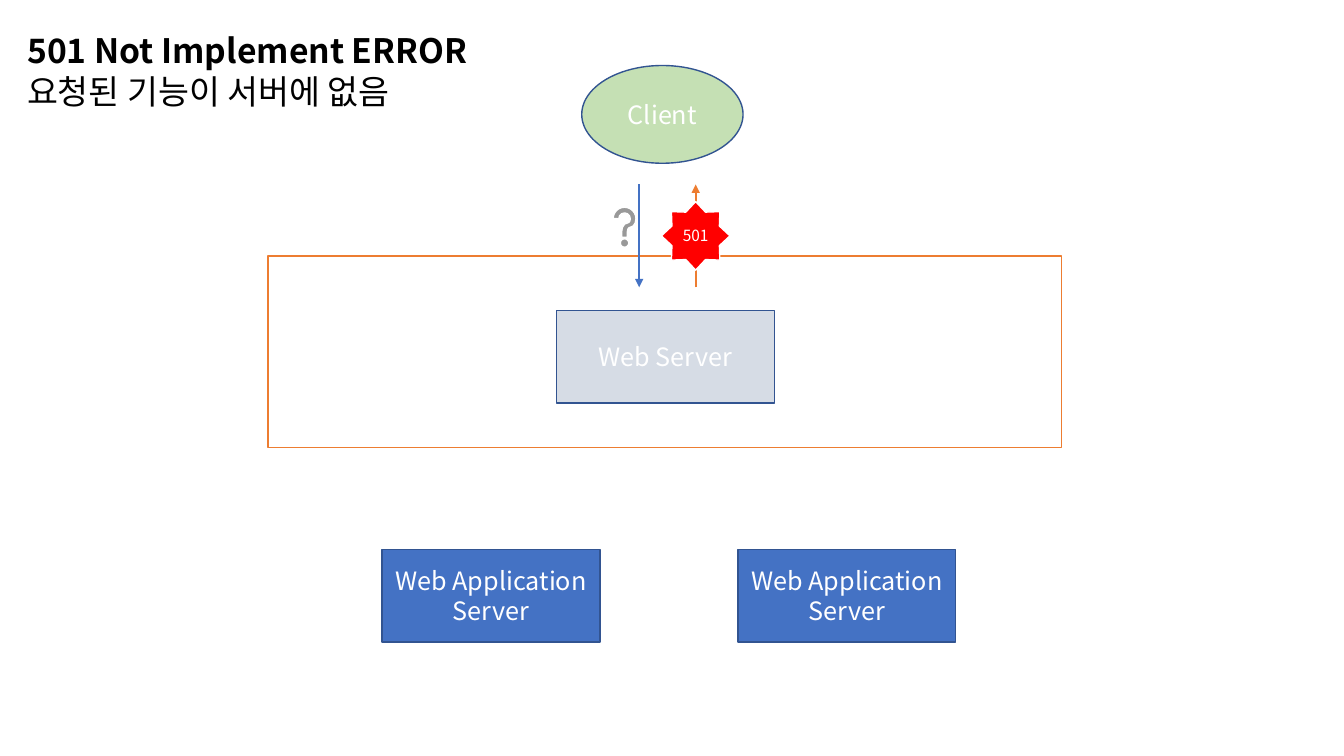
"""Build the slide that explains the 501 Not Implemented error."""
import pptx
import pptx.util
import pptx.dml.color
import pptx.enum.shapes
import pptx.enum.text
import pptx.oxml
import pptx.oxml.ns

Inches = pptx.util.Inches
Pt = pptx.util.Pt
SHAPE = pptx.enum.shapes.MSO_SHAPE
ANCHOR = pptx.enum.text.MSO_ANCHOR
ALIGN = pptx.enum.text.PP_ALIGN
FONT = "Noto Sans CJK KR"
OUTLINE = "325491"


def color(value):
    return pptx.dml.color.RGBColor.from_string(value)


def write(holder, text, size, ink, bold=False):
    holder.text_frame.text = text
    for run in holder.text_frame.paragraphs[0].runs:
        run.font.name = FONT
        run.font.size = Pt(size)
        run.font.bold = bold
        run.font.color.rgb = color(ink)
        east_asian = pptx.oxml.parse_xml(
            f'<a:ea {pptx.oxml.ns.nsdecls("a")} typeface="{FONT}"/>')
        run.font._element.find(pptx.oxml.ns.qn("a:latin")).addnext(east_asian)


deck = pptx.Presentation()
deck.slide_width, deck.slide_height = Inches(13.33), Inches(7.5)
slide = deck.slides.add_slide(deck.slide_layouts[5])

request_x, response_x = 6.34, 6.9
arrow_top, arrow_bottom = 1.83, 2.85
request = (request_x, arrow_top, request_x, arrow_bottom, "4472C4")
response = (response_x, arrow_bottom, response_x, arrow_top, "ED7D31")

nodes = [
    (SHAPE.ACTION_BUTTON_HELP, 5.93, 1.99, 0.53, 0.53, "FFFFFF", "FFFFFF", "", 18),
    (SHAPE.RECTANGLE, 2.66, 2.54, 7.87, 1.9, "FFFFFF", "ED7D31", "", 18),
    (SHAPE.RECTANGLE, 3.79, 5.45, 2.16, 0.92, "4472C4", OUTLINE, "Web Application\vServer", 18),
    (SHAPE.RECTANGLE, 7.32, 5.45, 2.16, 0.92, "4472C4", OUTLINE, "Web Application\vServer", 18),
    (SHAPE.RECTANGLE, 5.52, 3.08, 2.16, 0.92, "D6DCE5", OUTLINE, "Web Server", 18),
    (SHAPE.OVAL, 5.77, 0.65, 1.6, 0.97, "C5E0B4", OUTLINE, "Client", 18),
    request,
    response,
    (SHAPE.STAR_8_POINT, 6.56, 2, 0.68, 0.68, "FF0000", "FFFFFF", "501", 11),
]
for node in nodes:
    if node in (request, response):
        *ends, ink = node
        arrow = slide.shapes.add_connector(
            pptx.enum.shapes.MSO_CONNECTOR.STRAIGHT, *map(Inches, ends))
        arrow.line.color.rgb = color(ink)
        arrow.line.width = Pt(1.5)
        arrow.line._get_or_add_ln().append(pptx.oxml.parse_xml(
            f'<a:tailEnd {pptx.oxml.ns.nsdecls("a")} type="triangle"/>'))
        arrow._element.spPr.append(pptx.oxml.parse_xml(
            f'<a:effectLst {pptx.oxml.ns.nsdecls("a")}/>'))
        continue
    kind, left, top, width, height, fill, outline, label, size = node
    part = slide.shapes.add_shape(kind, *map(Inches, (left, top, width, height)))
    part.shadow.inherit = False
    part.fill.solid()
    part.fill.fore_color.rgb = color(fill)
    part.line.color.rgb = color(outline)
    part.line.width = Pt(1)
    if label:
        write(part, label, size, "FFFFFF")
        part.text_frame.word_wrap = True
        part.text_frame.vertical_anchor = ANCHOR.MIDDLE
        part.text_frame.paragraphs[0].alignment = ALIGN.CENTER

heading = slide.shapes.title
heading.left, heading.top, heading.width, heading.height = map(Inches, (0.17, 0.25, 4.59, 0.5))
meaning = slide.shapes.add_textbox(*map(Inches, (0.17, 0.65, 4.26, 0.5)))
for line, text, bold in ((heading, "501 Not Implement ERROR", True),
                         (meaning, "요청된 기능이 서버에 없음", False)):
    write(line, text, 24, "000000", bold)
    line.text_frame.word_wrap = False
    line.text_frame.vertical_anchor = ANCHOR.TOP
    line.text_frame.paragraphs[0].alignment = ALIGN.LEFT

deck.save("out.pptx")
